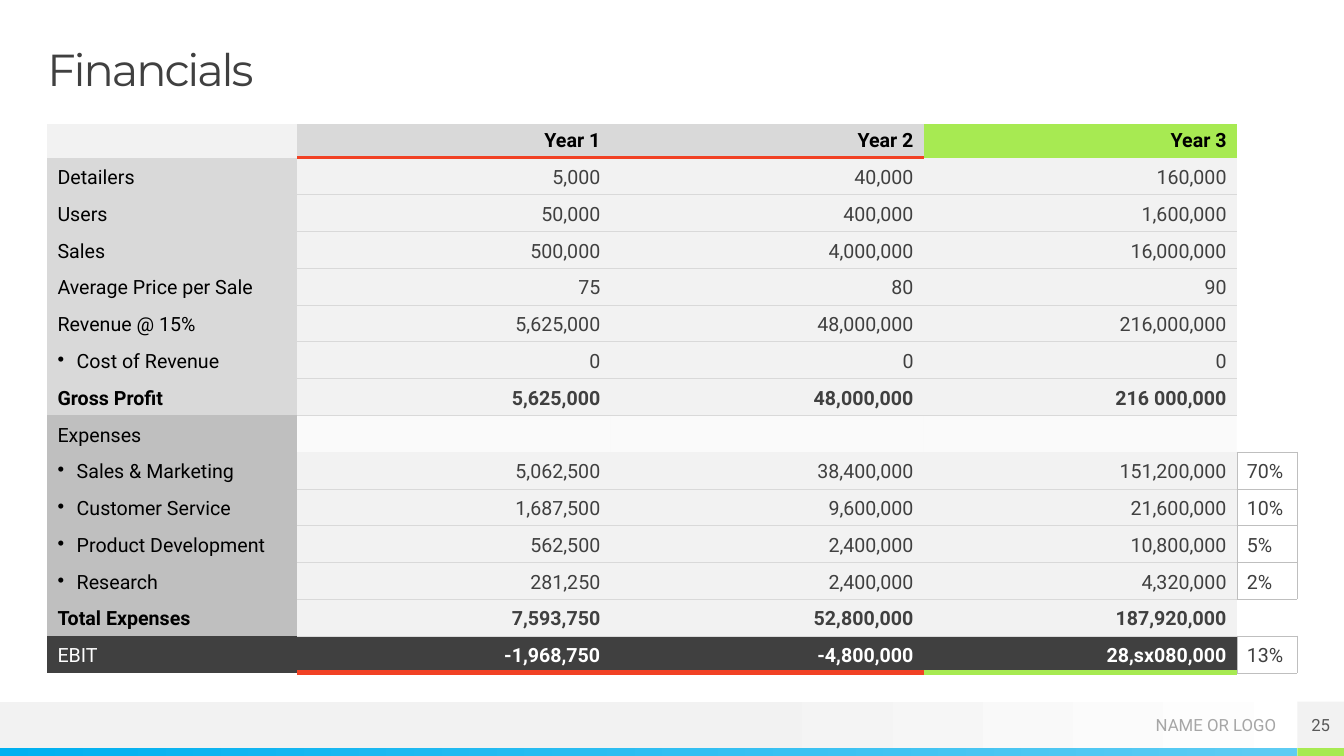
from dataclasses import dataclass

from lxml.etree import SubElement
from pptx import Presentation
from pptx.dml.color import RGBColor
from pptx.enum.shapes import MSO_SHAPE as Shape
from pptx.enum.text import MSO_ANCHOR as Anchor, PP_ALIGN as Align
from pptx.oxml.ns import qn
from pptx.util import Inches, Pt


@dataclass(frozen=True)
class Theme:
    heading_font: str = "Montserrat"
    body_font: str = "Roboto"
    title_size: float = 32
    table_size: float = 14
    footer_size: float = 12
    black: str = "000000"
    white: str = "FFFFFF"
    dark: str = "404040"
    page_text: str = "595959"
    footer_text: str = "A6A6A6"
    expense: str = "BFBFBF"
    income: str = "D9D9D9"
    pale: str = "F2F2F2"
    red: str = "F14124"
    green: str = "A7EA52"
    blue: str = "00B0F0"
    light_blue: str = "5ECCF3"
    hairline: float = 0.25
    header_line: float = 3
    result_line: float = 4.5


@dataclass(frozen=True)
class Row:
    label: str
    values: tuple = ("", "", "")
    share: str = ""
    bold: bool = False
    bullet: bool = False


INCOME = [
    Row("Detailers", ("5,000", "40,000", "160,000")),
    Row("Users", ("50,000", "400,000", "1,600,000")),
    Row("Sales", ("500,000", "4,000,000", "16,000,000")),
    Row("Average Price per Sale", ("75", "80", "90")),
    Row("Revenue @ 15%", ("5,625,000", "48,000,000", "216,000,000")),
    Row("Cost of Revenue", ("0", "0", "0"), bullet=True),
    Row("Gross Profit", ("5,625,000", "48,000,000", "216 000,000"), bold=True),
]
EXPENSES = [
    Row("Sales & Marketing", ("5,062,500", "38,400,000", "151,200,000"), "70%", bullet=True),
    Row("Customer Service", ("1,687,500", "9,600,000", "21,600,000"), "10%", bullet=True),
    Row("Product Development", ("562,500", "2,400,000", "10,800,000"), "5%", bullet=True),
    Row("Research", ("281,250", "2,400,000", "4,320,000"), "2%", bullet=True),
    Row("Total Expenses", ("7,593,750", "52,800,000", "187,920,000"), bold=True),
]
EBIT = Row("EBIT", ("-1,968,750", "-4,800,000", "28,sx080,000"), "13%")
YEARS = ("Year 1", "Year 2", "Year 3")
YEAR_COLUMNS = range(1, 4)
SHARE_COLUMN = 4

# Shares of the slide's size, in percent
MARGIN, CONTENT_WIDTH = 3.53, 93
COLUMN_WIDTHS = (18.6, 23.3, 23.3, 23.3, 4.5)
HEADER_HEIGHT, ROW_HEIGHT = 4.37, 4.87
FOOTER_TOP, FOOTER_HEIGHT, STRIP_HEIGHT = 92.8, 6.13, 1.07
PAGE_LEFT = MARGIN + CONTENT_WIDTH
PAGE_WIDTH = 100 - PAGE_LEFT
STRIP_TOP = FOOTER_TOP + FOOTER_HEIGHT

BORDER_TAGS = ("a:lnL", "a:lnR", "a:lnT", "a:lnB")
LEFT, RIGHT, TOP, BOTTOM = range(4)
NO_TABLE_STYLE = "{2D5ABB26-0587-4C30-8999-92F81FD0307C}"


class SlideBuilder:
    def __init__(self, presentation, theme):
        self.theme = theme
        self.width, self.height = presentation.slide_width, presentation.slide_height
        self.slide = presentation.slides.add_slide(presentation.slide_layouts[5])

    def across(self, percent):
        return round(self.width * percent / 100)

    def down(self, percent):
        return round(self.height * percent / 100)

    def box(self, left, top, width, height):
        return self.across(left), self.down(top), self.across(width), self.down(height)

    def set_text(self, frame, text, size, color, font=None, align=Align.LEFT, bold=False):
        paragraph = frame.paragraphs[0]
        paragraph.text = text
        paragraph.alignment = align
        paragraph.font.name = font or self.theme.body_font
        paragraph.font.size = Pt(size)
        paragraph.font.bold = bold
        paragraph.font.color.rgb = RGBColor.from_string(color)
        return paragraph

    def clear_margins(self, frame, anchor):
        frame.margin_left = frame.margin_right = frame.margin_top = frame.margin_bottom = 0
        frame.word_wrap = True
        frame.vertical_anchor = anchor

    def title(self, text, *box):
        shape = self.slide.shapes.title
        shape.left, shape.top, shape.width, shape.height = self.box(*box)
        self.clear_margins(shape.text_frame, Anchor.TOP)
        paragraph = self.set_text(shape.text_frame, text, self.theme.title_size,
                                  self.theme.dark, self.theme.heading_font)
        paragraph.line_spacing = 0.9
        paragraph.runs[0].font._element.set("spc", "-150")

    def text(self, text, *box):
        frame = self.slide.shapes.add_textbox(*self.box(*box)).text_frame
        self.clear_margins(frame, Anchor.MIDDLE)
        self.set_text(frame, text, self.theme.footer_size, self.theme.footer_text,
                      align=Align.RIGHT)

    def bar(self, box, start, end=None, start_at=0.0):
        shape = self.slide.shapes.add_shape(Shape.RECTANGLE, *self.box(*box))
        shape.shadow.inherit = False
        shape.line.fill.background()
        if end is None:
            shape.fill.solid()
            shape.fill.fore_color.rgb = RGBColor.from_string(start)
            return shape
        shape.fill.gradient()
        shape.fill.gradient_angle = 0
        for stop, color, position in zip(shape.fill.gradient_stops, (start, end), (start_at, 1.0)):
            stop.color.rgb = RGBColor.from_string(color)
            stop.position = position
        return shape

    def page_number(self, text, *box):
        frame = self.bar(box, self.theme.pale).text_frame
        self.clear_margins(frame, Anchor.MIDDLE)
        self.set_text(frame, text, self.theme.footer_size, self.theme.page_text,
                      align=Align.CENTER)

    def table(self, row_count, left, top):
        heights = [HEADER_HEIGHT] + [ROW_HEIGHT] * (row_count - 1)
        frame = self.slide.shapes.add_table(
            row_count, len(COLUMN_WIDTHS), *self.box(left, top, sum(COLUMN_WIDTHS), sum(heights)))
        next(frame._element.iter(qn("a:tableStyleId"))).text = NO_TABLE_STYLE
        self.grid = frame.table
        for column, width in zip(self.grid.columns, COLUMN_WIDTHS):
            column.width = self.across(width)
        for row, height in zip(self.grid.rows, heights):
            row.height = self.down(height)

    def cell(self, row, column, text, fill, color, bold=False, bullet=False, alpha=None):
        cell = self.grid.cell(row, column)
        cell.vertical_anchor = Anchor.BOTTOM
        cell.fill.solid()
        cell.fill.fore_color.rgb = RGBColor.from_string(fill)
        if alpha:
            fill_color = next(cell._tc.tcPr.iter(qn("a:srgbClr")))
            SubElement(fill_color, qn("a:alpha")).set("val", str(alpha * 1000))
        if bullet:
            properties = cell.text_frame.paragraphs[0]._p.get_or_add_pPr()
            properties.set("marL", str(Inches(0.19)))
            properties.set("indent", str(-Inches(0.19)))
            SubElement(properties, qn("a:buChar")).set("char", "•")
        align = Align.RIGHT if column in YEAR_COLUMNS else Align.LEFT
        self.set_text(cell.text_frame, text, self.theme.table_size, color, align=align, bold=bold)

    def border(self, row, column, side, color, width):
        if row >= len(self.grid.rows) or column >= len(self.grid.columns):
            return
        properties = self.grid.cell(row, column)._tc.get_or_add_tcPr()
        for old in properties.findall(qn(BORDER_TAGS[side])):
            properties.remove(old)
        line = SubElement(properties, qn(BORDER_TAGS[side]), w=str(Pt(width)))
        SubElement(SubElement(line, qn("a:solidFill")), qn("a:srgbClr")).set("val", color)
        earlier = [qn(tag) for tag in BORDER_TAGS[:side]]
        properties.insert(sum(child.tag in earlier for child in properties), line)

    def line_below(self, row, column, color, width):
        self.border(row, column, BOTTOM, color, width)
        self.border(row + 1, column, TOP, color, width)

    def line_right(self, row, column, color, width):
        self.border(row, column, RIGHT, color, width)
        self.border(row, column + 1, LEFT, color, width)


def fill_table(builder, theme):
    rows = [*INCOME, Row("Expenses"), *EXPENSES, EBIT]
    last = len(rows)
    builder.table(last + 1, MARGIN, 16.4)

    # Header row
    header = zip(("", *YEARS, ""), (theme.pale, theme.income, theme.income, theme.green, theme.white))
    for column, (text, fill) in enumerate(header):
        builder.cell(0, column, text, fill, theme.black, bold=True)

    # Labels, yearly values and shares
    for index, row in enumerate(rows, 1):
        result = row is EBIT
        label_fill = theme.dark if result else theme.income if row in INCOME else theme.expense
        builder.cell(index, 0, row.label, label_fill, theme.white if result else theme.black,
                     row.bold, row.bullet)
        for column, value in zip(YEAR_COLUMNS, row.values):
            builder.cell(index, column, value, theme.dark if result else theme.pale,
                         theme.white if result else theme.dark, row.bold or result,
                         alpha=None if value else 36)
            if row in INCOME[:-1] + EXPENSES[:-1]:
                builder.line_below(index, column, theme.income, theme.hairline)
        builder.cell(index, SHARE_COLUMN, row.share, theme.white, theme.dark)
        if row.share:
            for above in (index - 1, index):
                builder.line_below(above, SHARE_COLUMN, theme.expense, theme.hairline)
            for before in (SHARE_COLUMN - 1, SHARE_COLUMN):
                builder.line_right(index, before, theme.expense, theme.hairline)

    # Accent lines under the years and the result
    for column, color in zip(YEAR_COLUMNS, (theme.red, theme.red, theme.green)):
        if color == theme.red:
            builder.line_below(0, column, color, theme.header_line)
        builder.line_below(last, column, color, theme.result_line)


def main():
    theme = Theme()
    presentation = Presentation()
    presentation.slide_width, presentation.slide_height = Inches(13.33), Inches(7.5)
    builder = SlideBuilder(presentation, theme)

    # Footer
    builder.bar((0, FOOTER_TOP, 100, FOOTER_HEIGHT), theme.pale, theme.white, 0.53)
    builder.bar((0, STRIP_TOP, PAGE_LEFT, STRIP_HEIGHT), theme.blue, theme.light_blue)
    builder.bar((PAGE_LEFT, STRIP_TOP, PAGE_WIDTH, STRIP_HEIGHT), theme.green)
    builder.text("NAME OR LOGO", 78.17, FOOTER_TOP, 16.8, 6.27)

    # Title and table
    builder.title("Financials", MARGIN, 6.27, CONTENT_WIDTH, 6.27)
    fill_table(builder, theme)

    builder.page_number("25", PAGE_LEFT, FOOTER_TOP, PAGE_WIDTH, FOOTER_HEIGHT)
    presentation.save("out.pptx")


if __name__ == "__main__":
    main()
